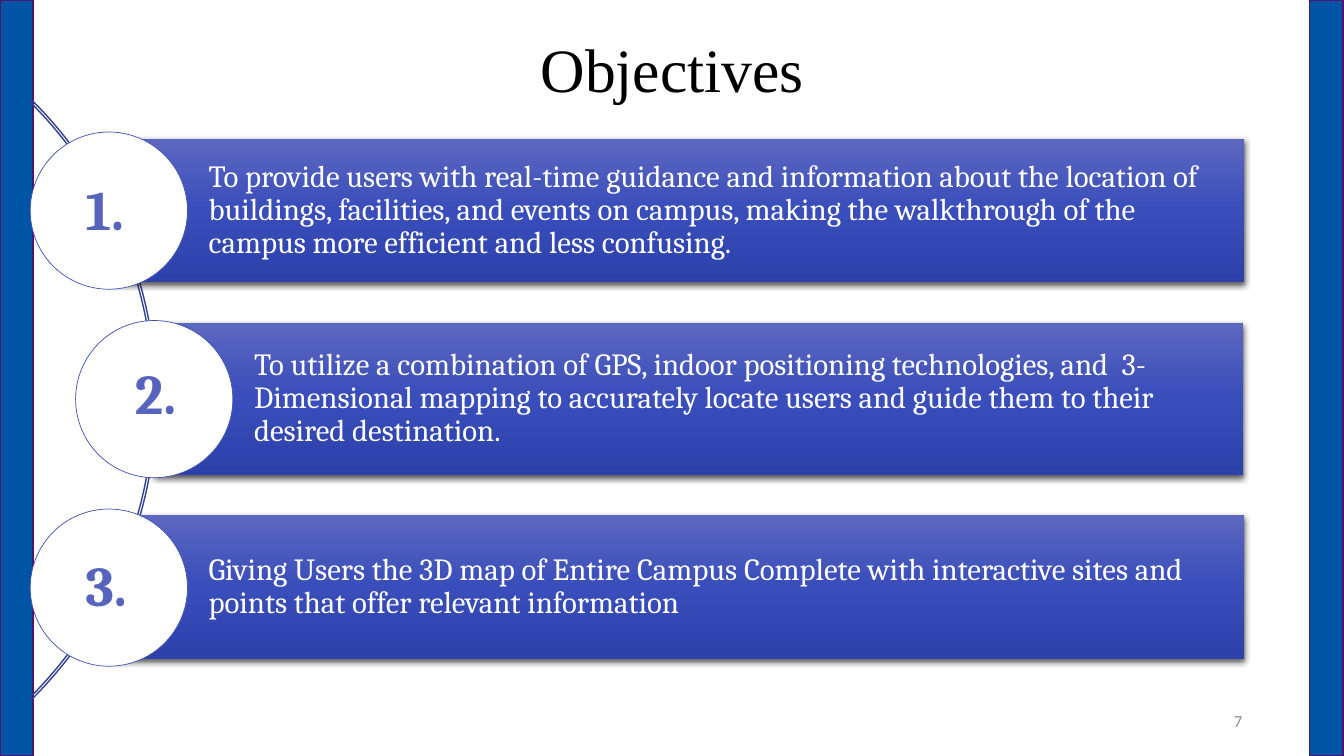
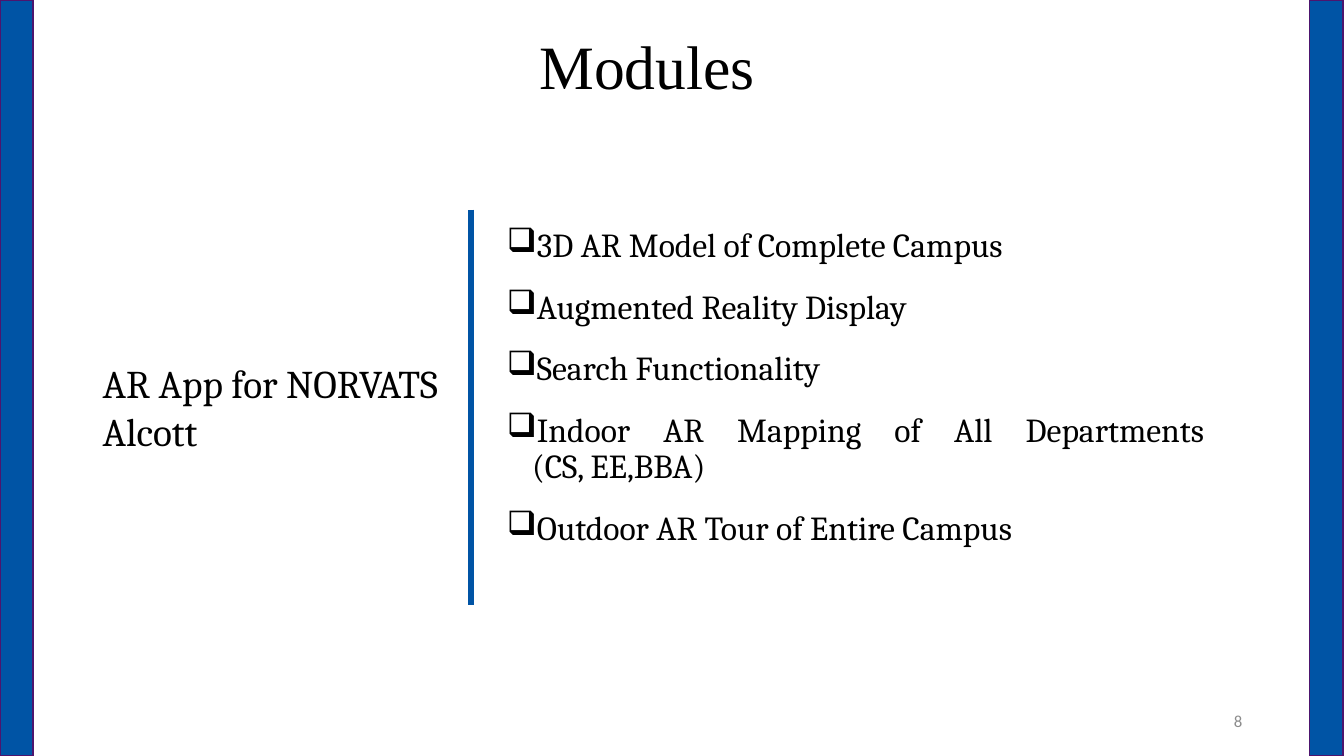
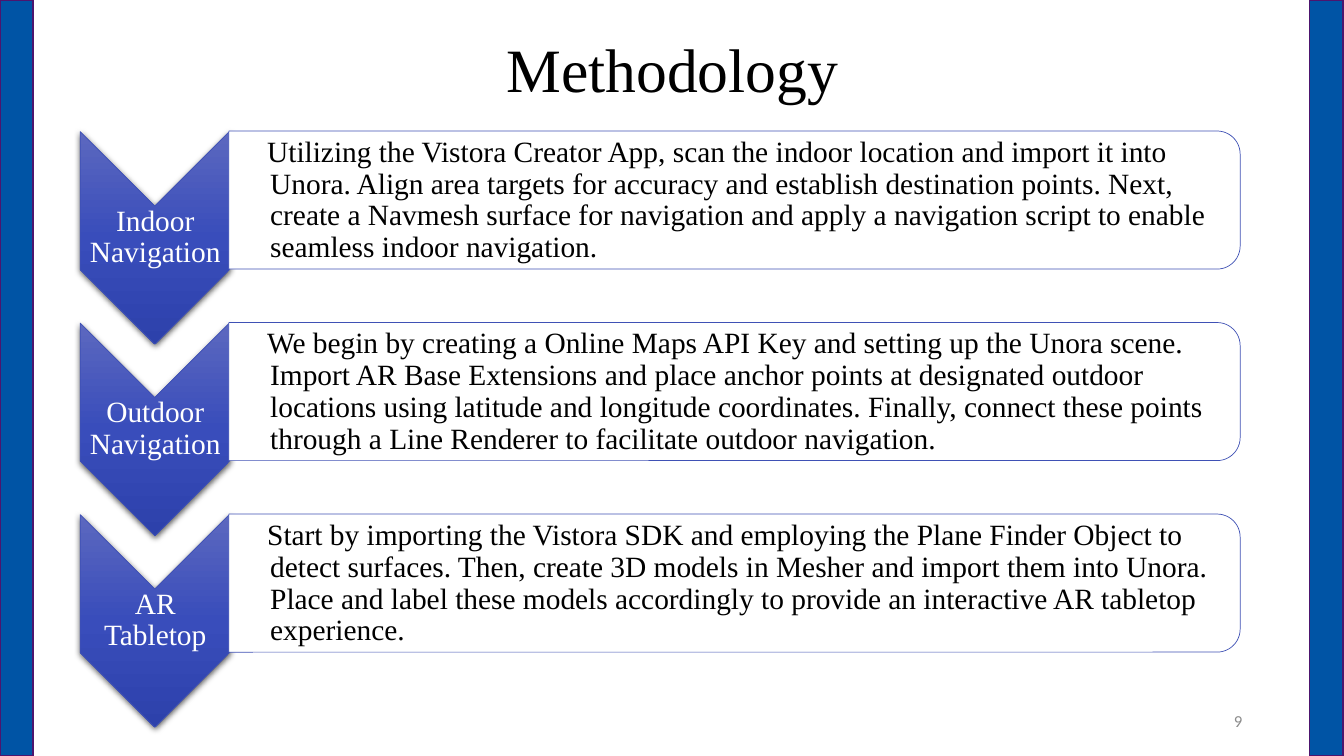
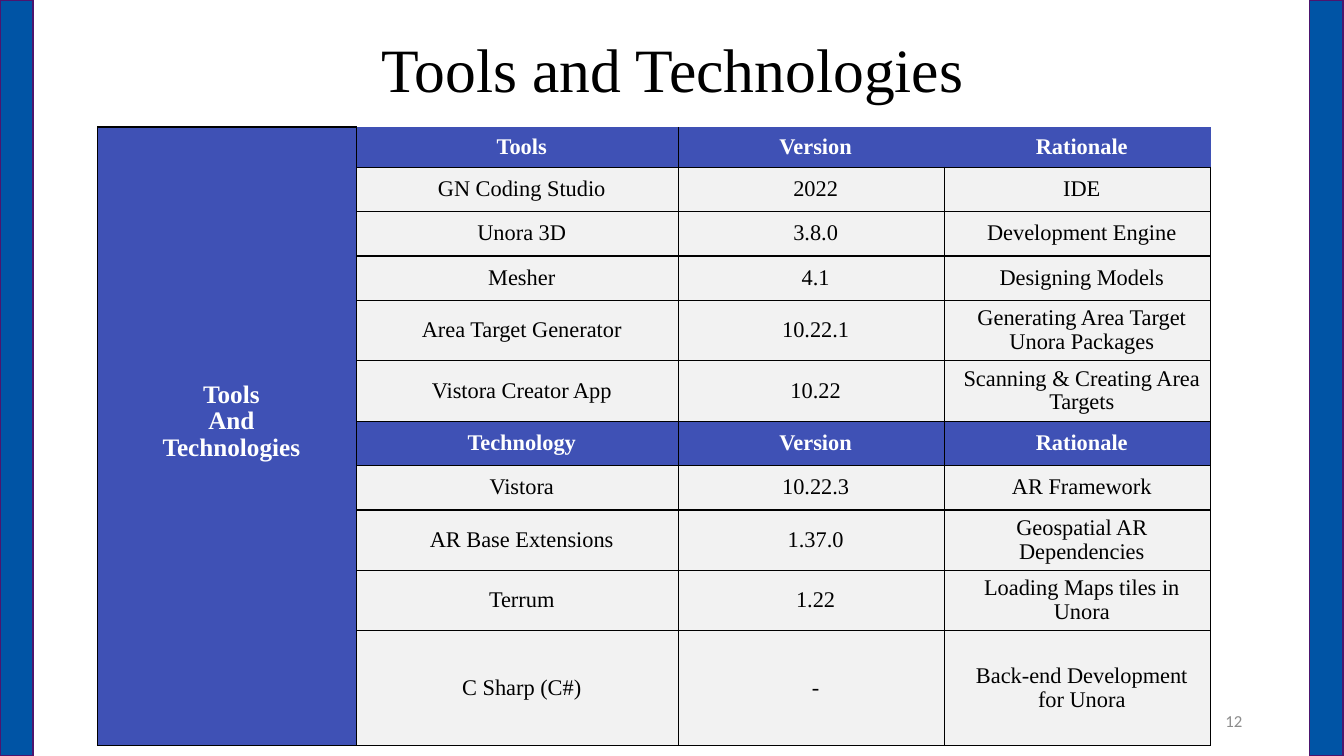
from dataclasses import dataclass
from typing import Any, Sequence

from lxml import etree
from pptx import Presentation
from pptx.dml.color import RGBColor
from pptx.enum import shapes, text
from pptx.oxml import ns
from pptx.slide import Slide
from pptx.util import Inches, Pt

COLORS = {
    "band": "0054A5",
    "edge": "4D156E",
    "black": "000000",
    "white": "FFFFFF",
    "gray": "8C8C8C",
    "arc": "324191",
    "indigo": "3F51B5",
    "digit": "5764BE",
    "cell": "F2F2F2",
    "light": "5C68BF",
    "mid": "394DBB",
    "dark": "2D41AB",
}
SERIF = "Times New Roman"
BODY = "Cambria"
SHAPE = shapes.MSO_SHAPE
ALIGN = text.PP_ALIGN
MIDDLE = text.MSO_ANCHOR.MIDDLE


@dataclass
class Style:
    font: str
    size: float
    color: str = "black"
    bold: bool = False
    align: Any = ALIGN.LEFT
    lines: float = 1.0


@dataclass
class Box:
    left: float
    top: float
    width: float
    height: float

    def emu(self) -> list[int]:
        return [Inches(n) for n in (self.left, self.top, self.width, self.height)]


@dataclass
class Goal:
    bar: Box
    disc: tuple[float, float]
    digit: tuple[float, float]
    words: str


@dataclass
class Step:
    label: str
    words: str


TITLE = Style(SERIF, 44, align=ALIGN.CENTER, lines=0.9)
NUMBER = Style("Calibri", 12, "gray", align=ALIGN.RIGHT)
GOAL = Style(BODY, 22, "white", lines=0.9)
DIGIT = Style(BODY, 40, "digit", True)
ITEM = Style(BODY, 24, align=ALIGN.JUSTIFY, lines=0.9)
TOPIC = Style(BODY, 28)
LABEL = Style(SERIF, 21, "white", align=ALIGN.CENTER, lines=0.9)
DETAIL = Style(SERIF, 21, lines=0.9)
SIDE = Style(SERIF, 18, "white", True, ALIGN.CENTER, 0.95)
HEAD = Style(SERIF, 16, "white", True, ALIGN.CENTER, 0.95)
CELL = Style(SERIF, 16, align=ALIGN.CENTER, lines=0.95)

GOALS = [
    Goal(Box(1.08, 1.38, 11.26, 1.42), (0.3, 1.31), (0.75, 1.68),
         "To provide users with real-time guidance and information about the location of "
         "buildings, facilities, and events on campus, making the walkthrough of the "
         "campus more efficient and less confusing."),
    Goal(Box(1.53, 3.2, 10.8, 1.51), (0.75, 3.18), (1.24, 3.51),
         "To utilize a combination of GPS, indoor positioning technologies, and  "
         "3-Dimensional mapping to accurately locate users and guide them to their "
         "desired destination."),
    Goal(Box(1.08, 5.11, 11.26, 1.43), (0.3, 5.05), (0.75, 5.41),
         "Giving Users the 3D map of Entire Campus Complete with interactive sites and "
         "points that offer relevant information"),
]
ITEMS = [
    "3D AR Model of Complete Campus",
    "Augmented Reality Display",
    "Search Functionality",
    "Indoor AR Mapping of All Departments \v(CS, EE,BBA)",
    "Outdoor AR Tour of Entire Campus",
]
STEPS = [
    Step("Indoor Navigation",
         "Utilizing the Vistora Creator App, scan the indoor location and import it into "
         "Unora. Align area targets for accuracy and establish destination points. Next, "
         "create a Navmesh surface for navigation and apply a navigation script to enable "
         "seamless indoor navigation."),
    Step("Outdoor Navigation",
         "We begin by creating a Online Maps API Key and setting up the Unora scene. "
         "Import AR Base Extensions and place anchor points at designated outdoor "
         "locations using latitude and longitude coordinates. Finally, connect these "
         "points through a Line Renderer to facilitate outdoor navigation."),
    Step("AR Tabletop",
         "Start by importing the Vistora SDK and employing the Plane Finder Object to "
         "detect surfaces. Then, create 3D models in Mesher and import them into Unora. "
         "Place and label these models accordingly to provide an interactive AR tabletop "
         "experience."),
]
ROWS = [
    ("Tools", "Version", "Rationale"),
    ("GN Coding Studio", "2022", "IDE"),
    ("Unora 3D", "3.8.0", "Development Engine"),
    ("Mesher", "4.1", "Designing Models"),
    ("Area Target Generator", "10.22.1", "Generating Area Target Unora Packages"),
    ("Vistora Creator App", "10.22", "Scanning & Creating Area Targets"),
    ("Technology", "Version", "Rationale"),
    ("Vistora", "10.22.3", "AR Framework"),
    ("AR Base Extensions", "1.37.0", "Geospatial AR Dependencies"),
    ("Terrum", "1.22", "Loading Maps tiles in Unora"),
    ("C Sharp (C#)", "-", "Back-end Development\vfor Unora"),
]
HEADS = (0, 6)
WIDTHS = [2.57, 3.19, 2.64, 2.64]
HEIGHTS = [0.4, 0.44, 0.44, 0.44, 0.6, 0.6, 0.44, 0.44, 0.6, 0.6, 1.1]


def rgb(name: str) -> RGBColor:
    return RGBColor.from_string(COLORS[name])


def add(parent: Any, tag: str, **attrs: Any) -> Any:
    return etree.SubElement(parent, ns.qn(tag), {k: str(v) for k, v in attrs.items()})


def write(frame: Any, words: Sequence[str], style: Style) -> None:
    frame.word_wrap = True
    for i, line in enumerate(words):
        para = frame.paragraphs[0] if i == 0 else frame.add_paragraph()
        para.text = line
        para.alignment = style.align
        para.line_spacing = style.lines
        font = para.font
        font.name, font.size, font.bold = style.font, Pt(style.size), style.bold
        font.color.rgb = rgb(style.color)


def inset(frame: Any, left: float, top: float, right: float, bottom: float) -> None:
    frame.margin_left, frame.margin_top = Inches(left), Inches(top)
    frame.margin_right, frame.margin_bottom = Inches(right), Inches(bottom)


def indent(para: Any, left: float, first: float) -> Any:
    props = para._p.get_or_add_pPr()
    props.set("marL", str(Inches(left)))
    props.set("indent", str(Inches(first)))
    return props


def label(slide: Slide, box: Box, words: Sequence[str], style: Style) -> Any:
    frame = slide.shapes.add_textbox(*box.emu()).text_frame
    write(frame, words, style)
    return frame


def draw(slide: Slide, kind: Any, box: Box, fill: str = "", line: str = "",
         width: float = 0.5) -> Any:
    shape = slide.shapes.add_shape(kind, *box.emu())
    shape.shadow.inherit = False
    if fill:
        shape.fill.solid()
        shape.fill.fore_color.rgb = rgb(fill)
    else:
        shape.fill.background()
    if line:
        shape.line.color.rgb = rgb(line)
        shape.line.width = Pt(width)
    else:
        shape.line.fill.background()
    return shape


def gloss(shape: Any) -> None:
    shape.fill.gradient()
    shape.fill.gradient_angle = 270
    props = shape._element.spPr
    grad = props.find(ns.qn("a:gradFill"))
    grad.set("rotWithShape", "0")
    stops = grad.find(ns.qn("a:gsLst"))
    for stop in list(stops):
        stops.remove(stop)
    for place, name in ((0, "light"), (50000, "mid"), (100000, "dark")):
        add(add(stops, "a:gs", pos=place), "a:srgbClr", val=COLORS[name])
    cast = add(props.find(ns.qn("a:effectLst")), "a:outerShdw", blurRad=Pt(4.5),
               dist=Pt(1.5), dir=5400000, algn="ctr", rotWithShape=0)
    add(add(cast, "a:srgbClr", val=COLORS["black"]), "a:alpha", val=63000)


def start(deck: Any, title: str, page: int, left: float = 2.17, top: float = 0.25) -> Slide:
    slide = deck.slides.add_slide(deck.slide_layouts[5])
    head = slide.shapes.title
    head.left, head.top, head.width, head.height = Box(left, top, 9, 0.93).emu()
    write(head.text_frame, [title], TITLE)
    head.text_frame.vertical_anchor = MIDDLE
    foot = label(slide, Box(9.42, 6.95, 3, 0.4), [str(page)], NUMBER)
    foot.vertical_anchor = MIDDLE
    for x in (12.99, 0):
        draw(slide, SHAPE.RECTANGLE, Box(x, 0, 0.33, 7.5), "band", "edge", 1)
    return slide


def goals(deck: Any) -> None:
    slide = start(deck, "Objectives", 7)
    arc = draw(slide, SHAPE.BLOCK_ARC, Box(-6.84, -0.23, 8.39, 8.39), line="arc", width=1)
    for i, val in enumerate((189, 27, 0.003)):
        arc.adjustments[i] = val
    for i, goal in enumerate(GOALS, 1):
        bar = draw(slide, SHAPE.RECTANGLE, goal.bar)
        gloss(bar)
        write(bar.text_frame, [goal.words], GOAL)
        inset(bar.text_frame, 0.99, 0.06, 0.06, 0.06)
        bar.text_frame.vertical_anchor = MIDDLE
        draw(slide, SHAPE.OVAL, Box(*goal.disc, 1.56, 1.56), "white", "indigo")
        label(slide, Box(*goal.digit, 0.67, 0.77), [f"{i}."], DIGIT)


def modules(deck: Any) -> None:
    slide = start(deck, "Modules", 8, 1.92, 0.22)
    frame = label(slide, Box(4.93, 1.77, 7.44, 4.25), ITEMS, ITEM)
    inset(frame, 0.1, 0.5, 0.1, 0.05)
    for i, para in enumerate(frame.paragraphs):
        para.space_before = Pt(6 if i else 0)
        para.space_after = Pt(12)
        add(indent(para, 0.25, -0.25), "a:buChar", char="❑")
        props = para._p.pPr
        props.insert(list(props).index(props.find(ns.qn("a:defRPr"))),
                     props.find(ns.qn("a:buChar")))
    rule = slide.shapes.add_connector(shapes.MSO_CONNECTOR.STRAIGHT, Inches(4.67),
                                      Inches(2.08), Inches(4.67), Inches(6))
    rule.line.color.rgb = rgb("band")
    rule.line.width = Pt(4.5)
    add(rule._element.spPr, "a:effectLst")
    label(slide, Box(0.92, 3.52, 3.53, 1.04), ["AR App for NORVATS Alcott"], TOPIC)


def method(deck: Any) -> None:
    slide = start(deck, "Methodology", 9)
    for i, step in enumerate(STEPS):
        drop = 1.9 * i
        arrow = draw(slide, SHAPE.CHEVRON, Box(0.48, 1.62 + drop, 2.11, 1.48), line="indigo")
        arrow.rotation = 90
        gloss(arrow)
        name = label(slide, Box(0.8, 2.04 + drop, 1.48, 0.63), [step.label], LABEL)
        inset(name, 0.01, 0.01, 0.01, 0.01)
        panel = draw(slide, SHAPE.ROUND_2_SAME_RECTANGLE,
                     Box(6.6, -3.03 + drop, 1.37, 10.03), "white", "indigo")
        panel.rotation = 90
        body = label(slide, Box(2.27, 1.37 + drop, 9.96, 1.24), [step.words], DETAIL)
        inset(body, 0.16, 0.01, 0.01, 0.01)
        indent(body.paragraphs[0], 0.25, -0.03)
        for frame in (name, body):
            frame.vertical_anchor = MIDDLE


def border(cell: Any, sides: str) -> None:
    props = cell._tc.get_or_add_tcPr()
    for side in "LRTB":
        line = add(props, f"a:ln{side}", w=Pt(1))
        if side in sides:
            add(add(line, "a:solidFill"), "a:srgbClr", val=COLORS["black"])
        else:
            add(line, "a:noFill")


def paint(cell: Any, words: Sequence[str], style: Style, fill: str, sides: str) -> None:
    border(cell, sides)
    cell.fill.solid()
    cell.fill.fore_color.rgb = rgb(fill)
    cell.vertical_anchor = MIDDLE
    inset(cell, 0.07, 0, 0.07, 0)
    write(cell.text_frame, words, style)
    for para in cell.text_frame.paragraphs:
        indent(para, 0.08, 0)


def tools(deck: Any) -> None:
    slide = start(deck, "Tools and Technologies", 12)
    box = Box(0.97, 1.26, sum(WIDTHS), sum(HEIGHTS))
    table = slide.shapes.add_table(len(ROWS), len(WIDTHS), *box.emu()).table
    table.first_row = table.horz_banding = False
    for col, width in zip(table.columns, WIDTHS):
        col.width = Inches(width)
    for row, height in zip(table.rows, HEIGHTS):
        row.height = Inches(height)
    side = table.cell(0, 0)
    side.merge(table.cell(len(ROWS) - 1, 0))
    paint(side, ["Tools", "And", "Technologies"], SIDE, "indigo", "LRTB")
    side.margin_bottom = Inches(0.28)
    for r, row in enumerate(ROWS):
        style, fill = (HEAD, "indigo") if r in HEADS else (CELL, "cell")
        for c, words in enumerate(row):
            sides = "LRTB" if r else ("LRB", "LB", "B")[c]
            paint(table.cell(r, c + 1), [words], style, fill, sides)


def main() -> None:
    deck = Presentation()
    deck.slide_width, deck.slide_height = Inches(13.33), Inches(7.5)
    for build in (goals, modules, method, tools):
        build(deck)
    deck.save("out.pptx")


if __name__ == "__main__":
    main()
